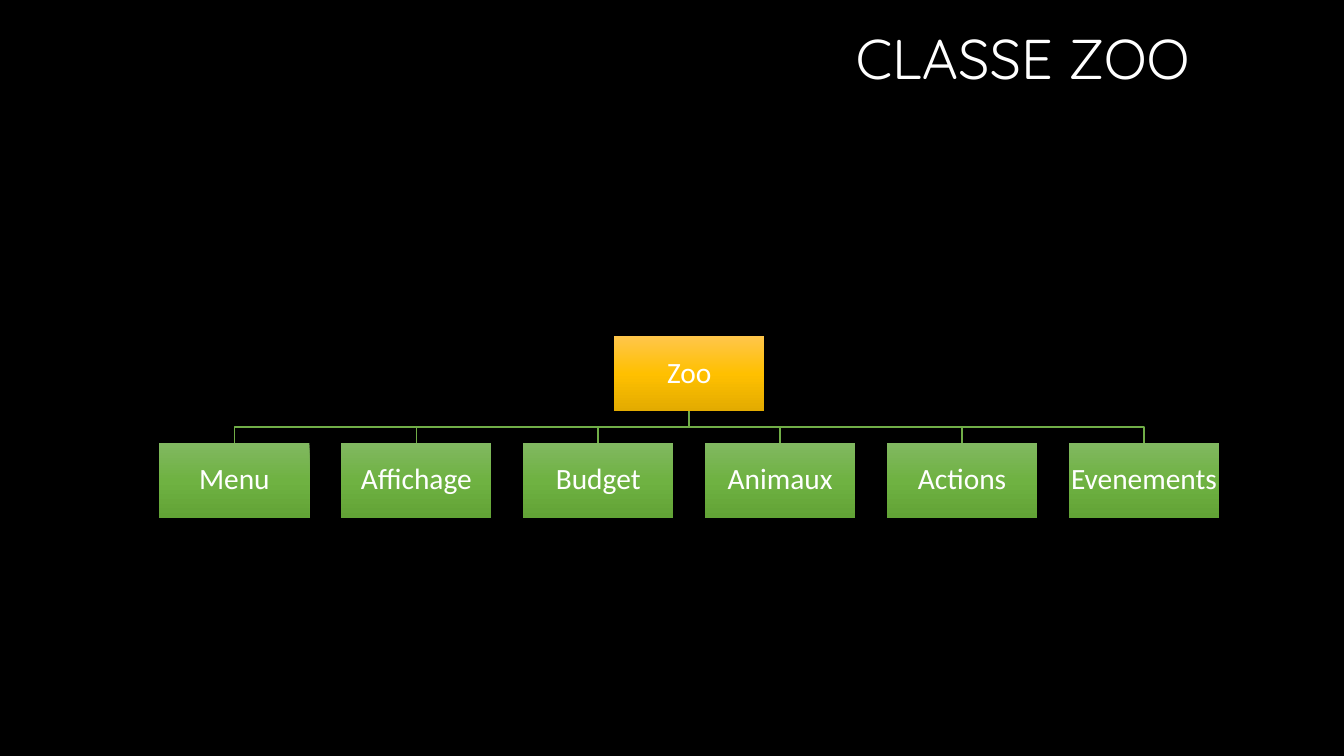
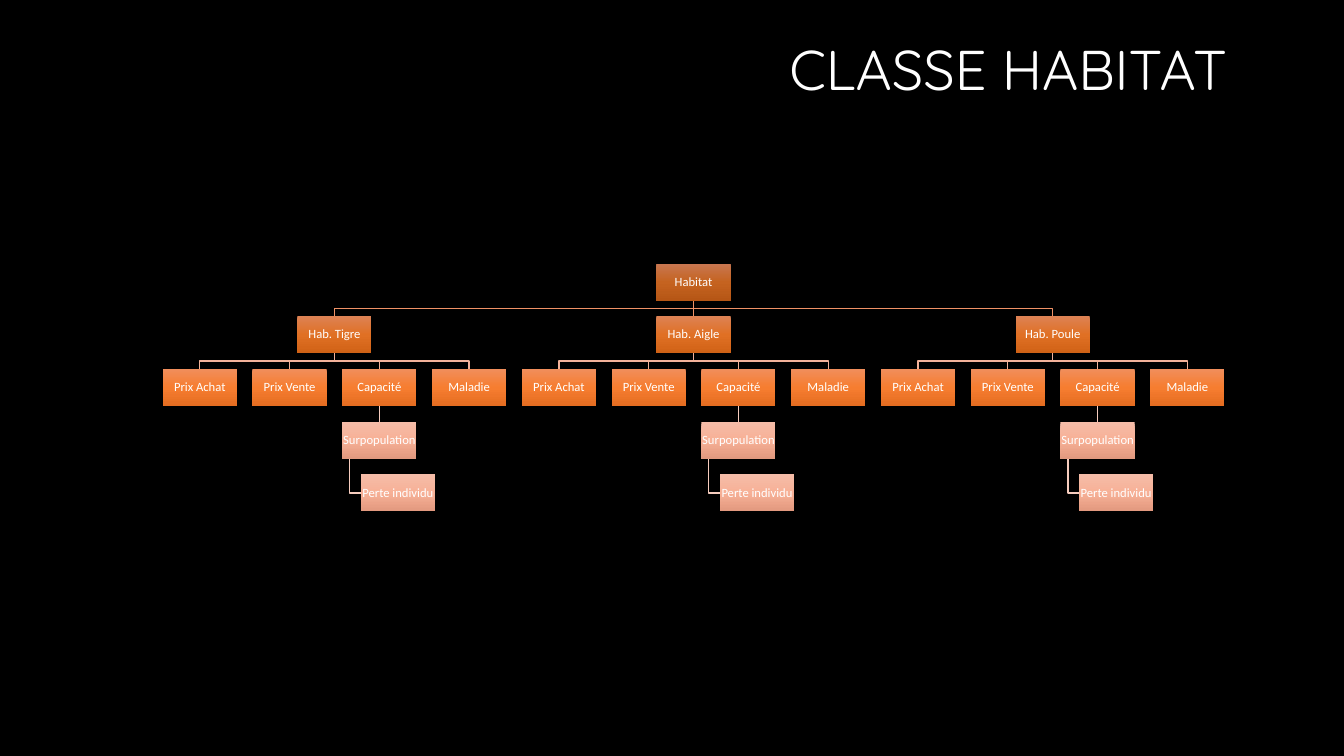
from copy import deepcopy
from dataclasses import dataclass, field

from lxml.etree import SubElement
from pptx import Presentation
from pptx.dml.color import RGBColor
from pptx.enum.shapes import MSO_CONNECTOR as Connector, MSO_SHAPE as Shape
from pptx.enum.text import MSO_ANCHOR as Anchor, PP_ALIGN as Align
from pptx.oxml.ns import qn
from pptx.util import Pt


@dataclass
class Node:
    """A box of a tree; a hanging box sits below and right of its parent."""
    text: str
    children: list = field(default_factory=list)
    hanging: bool = False


def habitat(name):
    loss = Node("Perte individu", hanging=True)
    return Node(name, [
        Node("Prix Achat"),
        Node("Prix Vente"),
        Node("Capacité", [Node("Surpopulation", [loss])]),
        Node("Maladie"),
    ])


ZOO_PARTS = ["Menu", "Affichage", "Budget", "Animaux", "Actions", "Evenements"]
HABITATS = ["Hab. Tigre", "Hab. Aigle", "Hab. Poule"]
PALE_ORANGE = ("F5BCA8", "F7B096", "E2997F")

# Gradients go by tree level; link colours by the level of the lower box.
SLIDES = [
    {
        "title": "CLASSE ZOO",
        "title_area": (592.6, 15.1, 264.2, 57.6),
        "tree": Node("Zoo", [Node(part) for part in ZOO_PARTS]),
        "left": 113.7, "top": 240, "box_width": 107.4, "text_size": 21,
        "gradients": [("FFC64B", "FFC000", "E3AB00"), ("81B861", "6FB242", "62A336")],
        "links": ["70AD47"],
    },
    {
        "title": "CLASSE HABITAT",
        "title_area": (556.6, 15.8, 326.9, 72),
        "tree": Node("Habitat", [habitat(name) for name in HABITATS]),
        "left": 116.2, "top": 188.3, "box_width": 53, "text_size": 9,
        "gradients": [
            ("C87751", "C56320", "B65615"),
            ("DD8254", "E07024", "D06216"),
            ("F18E5B", "F67D30", "E56D21"),
            PALE_ORANGE,
            PALE_ORANGE,
        ],
        "links": ["EF9166", "F3B29A", "F6CCBE", "F6CCBE"],
    },
]

BACKGROUND, TEXT_COLOR = "000000", "FFFFFF"
TITLE_FONT, BOX_FONT = "Quicksand", "Calibri"
TITLE_SIZE = 40

# Tree proportions, as shares of the box width
BOX_HEIGHT = 0.5
GAP = 0.21
HANGING_INDENT = 0.25
HANGING_STEM = 0.1


def rgb(value):
    return RGBColor.from_string(value)


def write(shape, text, font, size, align):
    frame = shape.text_frame
    frame.text = text
    frame.vertical_anchor = Anchor.MIDDLE
    paragraph = frame.paragraphs[0]
    paragraph.alignment = align
    paragraph.line_spacing = 0.9
    run_font = paragraph.runs[0].font
    run_font.name, run_font.size = font, Pt(size)
    run_font.color.rgb = rgb(TEXT_COLOR)
    return frame


def fill_gradient(shape, colors):
    """Fill from top to bottom with three evenly spaced colours."""
    shape.fill.gradient()
    shape.fill.gradient_angle = 270
    stop_list = next(shape.element.iter(qn("a:gsLst")))
    stop_list.append(deepcopy(stop_list[-1]))
    for index, (stop, color) in enumerate(zip(shape.fill.gradient_stops, colors)):
        stop.color.rgb = rgb(color)
        stop.position = index / 2


def add_title(slide, text, area):
    box = slide.shapes.add_textbox(*map(Pt, area))
    write(box, text, TITLE_FONT, TITLE_SIZE, Align.RIGHT).word_wrap = True


def add_box(slide, text, left, top, width, size, colors):
    box = slide.shapes.add_shape(
        Shape.RECTANGLE, Pt(left), Pt(top), Pt(width), Pt(width * BOX_HEIGHT))
    box.shadow.inherit = False
    box.line.fill.background()
    fill_gradient(box, colors)
    frame = write(box, text, BOX_FONT, size, Align.CENTER)
    frame.word_wrap = False
    frame.margin_left = frame.margin_right = Pt(0.7)
    frame.margin_top = frame.margin_bottom = Pt(0.7)


def add_link(slide, points, color):
    """Draw a straight connector, or one bent line through several points."""
    start, *others = [(Pt(x), Pt(y)) for x, y in points]
    if len(others) == 1:
        link = slide.shapes.add_connector(Connector.STRAIGHT, *start, *others[0])
        SubElement(link.element.spPr, qn("a:effectLst"))
    else:
        builder = slide.shapes.build_freeform(*start)
        builder.add_line_segments(others, close=False)
        link = builder.convert_to_shape()
        link.fill.background()
        link.shadow.inherit = False
    link.line.color.rgb = rgb(color)
    link.line.width = Pt(1)


def slot_count(node):
    return max(1, sum(slot_count(child) for child in node.children))


def link_points(parent, child, hanging, width):
    """Route a link between two (left, top) box corners."""
    (parent_left, parent_top), (child_left, child_top) = parent, child
    height = width * BOX_HEIGHT
    bottom = parent_top + height
    if hanging:
        stem, middle = parent_left + width * HANGING_STEM, child_top + height / 2
        return [(stem, bottom), (stem, middle), (child_left, middle)]
    start, end = parent_left + width / 2, child_left + width / 2
    if abs(start - end) < 0.01:
        return [(start, bottom), (start, child_top)]
    bus = (bottom + child_top) / 2
    return [(start, bottom), (start, bus), (end, bus), (end, child_top)]


def place(node, left, top, width, level=0):
    """Return the boxes and links of a subtree whose first slot starts at left."""
    step = width * (1 + GAP)
    corner = (left + (slot_count(node) - 1) * step / 2, top)
    boxes, links = [(node.text, corner, level)], []
    child_left = left
    for child in node.children:
        indent = width * HANGING_INDENT if child.hanging else 0
        child_boxes, child_links = place(
            child, child_left + indent, top + width * (BOX_HEIGHT + GAP), width, level + 1)
        child_corner = child_boxes[0][1]
        links.append((link_points(corner, child_corner, child.hanging, width), level))
        boxes += child_boxes
        links += child_links
        child_left += slot_count(child) * step
    return boxes, links


def add_tree(slide, content):
    width = content["box_width"]
    boxes, links = place(content["tree"], content["left"], content["top"], width)
    for points, level in links:
        add_link(slide, points, content["links"][level])
    for text, corner, level in boxes:
        add_box(slide, text, *corner, width, content["text_size"], content["gradients"][level])


def main():
    presentation = Presentation()
    presentation.slide_width, presentation.slide_height = Pt(960), Pt(540)
    background = presentation.slide_master.background.fill
    background.solid()
    background.fore_color.rgb = rgb(BACKGROUND)
    for content in SLIDES:
        slide = presentation.slides.add_slide(presentation.slide_layouts[6])
        add_title(slide, content["title"], content["title_area"])
        add_tree(slide, content)
    presentation.save("out.pptx")


if __name__ == "__main__":
    main()
